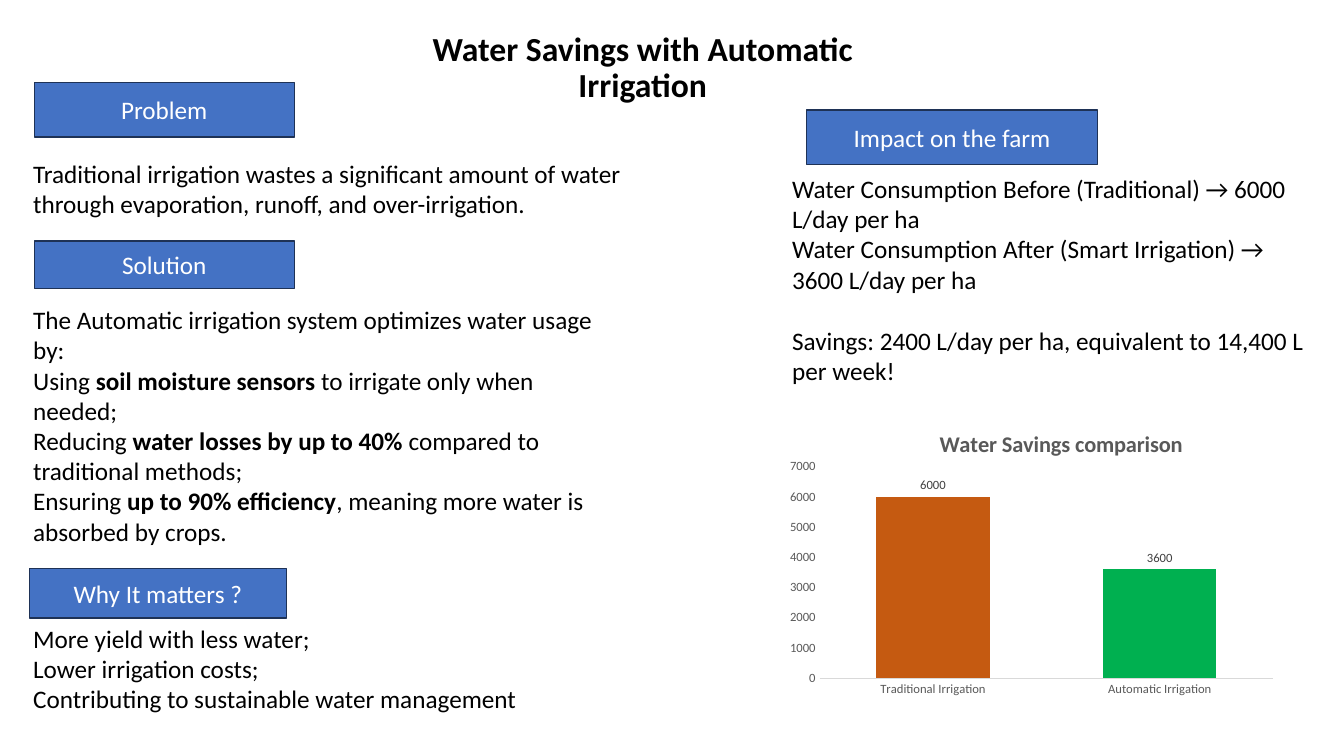
from dataclasses import dataclass

from lxml import etree
from pptx import Presentation
from pptx import util as u
from pptx.chart import data
from pptx.dml.color import RGBColor
from pptx.enum import chart as ch
from pptx.enum import shapes, text
from pptx.oxml.ns import qn


@dataclass(frozen=True)
class Theme:
    font: str = "Calibri"
    ink: str = "000000"
    heading_fill: str = "4472C4"
    heading_line: str = "1E3256"
    heading_ink: str = "FFFFFF"
    axis_ink: str = "595959"
    axis_line: str = "D9D9D9"
    label_ink: str = "404040"
    before: str = "C55A11"
    after: str = "00B050"
    title_size: int = 24
    body_size: int = 18
    chart_title_size: int = 16
    chart_size: int = 9
    body_line: int = 22


def assign(target, formats):
    for name, value in formats.items():
        setattr(target, name, value)


class Page:
    """Holds the theme and the slide; areas are percentages of the slide's size."""

    def __init__(self, deck, theme):
        self.theme = theme
        self.width, self.height = deck.slide_width, deck.slide_height
        self.slide = deck.slides.add_slide(deck.slide_layouts[6])

    def place(self, area):
        sides = (self.width, self.height) * 2
        return [round(share * side / 100) for share, side in zip(area, sides)]

    def style(self, font, size, ink, bold=False):
        assign(font, {"name": self.theme.font, "size": u.Pt(size), "bold": bold})
        font.color.rgb = RGBColor.from_string(ink)

    def add_words(self, paragraph, line, size, ink, bold=False):
        """Words between ** marks are bold."""
        for index, words in enumerate(line.split("**")):
            run = paragraph.add_run()
            run.text = words
            self.style(run.font, size, ink, bold or index % 2 == 1)

    def title(self, area, words):
        frame = self.slide.shapes.add_textbox(*self.place(area)).text_frame
        assign(frame, {"word_wrap": True, "vertical_anchor": text.MSO_ANCHOR.BOTTOM})
        paragraph = frame.paragraphs[0]
        assign(paragraph, {"alignment": text.PP_ALIGN.CENTER, "line_spacing": 0.9})
        self.add_words(paragraph, words, self.theme.title_size, self.theme.ink, bold=True)

    def body(self, area, lines, gap_before=None):
        frame = self.slide.shapes.add_textbox(*self.place(area)).text_frame
        assign(frame, {"word_wrap": True,
                       "auto_size": text.MSO_AUTO_SIZE.SHAPE_TO_FIT_TEXT})
        for index, line in enumerate(lines):
            paragraph = frame.add_paragraph() if index else frame.paragraphs[0]
            self.add_words(paragraph, line, self.theme.body_size, self.theme.ink)
            if index == gap_before:
                paragraph.space_before = u.Pt(self.theme.body_line)

    def heading(self, area, words):
        box = self.slide.shapes.add_shape(shapes.MSO_SHAPE.RECTANGLE, *self.place(area))
        box.shadow.inherit = False
        box.fill.solid()
        box.fill.fore_color.rgb = RGBColor.from_string(self.theme.heading_fill)
        box.line.color.rgb = RGBColor.from_string(self.theme.heading_line)
        box.line.width = u.Pt(1)
        assign(box.text_frame, {"word_wrap": True,
                                "vertical_anchor": text.MSO_ANCHOR.MIDDLE})
        paragraph = box.text_frame.paragraphs[0]
        paragraph.alignment = text.PP_ALIGN.CENTER
        self.add_words(paragraph, words, self.theme.body_size, self.theme.heading_ink)

    def columns(self, area, title, bars):
        """bars: (category, value, colour) for each column."""
        theme = self.theme
        figures = data.CategoryChartData()
        figures.categories = [name for name, _, _ in bars]
        figures.add_series("Series 1", [value for _, value, _ in bars])
        chart = self.slide.shapes.add_chart(
            ch.XL_CHART_TYPE.COLUMN_CLUSTERED, *self.place(area), figures).chart
        self.style(chart.font, 10, theme.ink)
        assign(chart, {"has_legend": False, "has_title": True})
        self.add_words(chart.chart_title.text_frame.paragraphs[0], title,
                       theme.chart_title_size, theme.axis_ink, bold=True)

        # Axes
        for axis in (chart.category_axis, chart.value_axis):
            assign(axis, {"has_major_gridlines": False,
                          "major_tick_mark": ch.XL_TICK_MARK.NONE,
                          "minor_tick_mark": ch.XL_TICK_MARK.NONE})
            self.style(axis.tick_labels.font, theme.chart_size, theme.axis_ink)
        line = chart.category_axis.format.line
        line.color.rgb = RGBColor.from_string(theme.axis_line)
        line.width = u.Pt(1)
        assign(chart.value_axis, {"minimum_scale": 0, "maximum_scale": 7000,
                                  "major_unit": 1000})
        chart.value_axis.format.line.fill.background()

        # Columns and their values
        plot = chart.plots[0]
        assign(plot, {"gap_width": 100, "overlap": -24, "vary_by_categories": False})
        series = plot.series[0]
        for index, (_, _, colour) in enumerate(bars):
            fill = series.points[index].format.fill
            fill.solid()
            fill.fore_color.rgb = RGBColor.from_string(colour)
        labels = series.data_labels
        assign(labels, {"show_value": True,
                        "position": ch.XL_LABEL_POSITION.OUTSIDE_END})
        self.style(labels.font, theme.chart_size, theme.label_ink)

        # Fixed places of the title and the plot
        self.fix(chart.chart_title.element, 1, {"x": 0.31, "y": 0.08})
        self.fix(chart.element.find(".//" + qn("c:plotArea")), 0,
                 {"x": 0.08, "y": 0.22, "w": 0.9, "h": 0.7}, inner=True)

    @staticmethod
    def fix(part, index, shares, inner=False):
        for old in part.findall(qn("c:layout")):
            part.remove(old)
        layout = etree.Element(qn("c:layout"))
        manual = etree.SubElement(layout, qn("c:manualLayout"))
        settings = {"layoutTarget": "inner"} if inner else {}
        settings.update({"xMode": "edge", "yMode": "edge"}, **shares)
        for name, value in settings.items():
            etree.SubElement(manual, qn(f"c:{name}")).set("val", str(value))
        part.insert(index, layout)


def main():
    deck = Presentation()
    assign(deck, {"slide_width": u.Inches(13.33), "slide_height": u.Inches(7.5)})
    theme = Theme()
    page = Page(deck, theme)
    left = 1.73

    page.title((27.98, 2.8, 39.68, 11.73), "Water Savings with Automatic Irrigation")

    # Body texts
    page.body((left, 20.27, 46.5, 9.47), [
        "Traditional irrigation wastes a significant amount of water through "
        "evaporation, runoff, and over-irrigation."])
    page.body((left, 39.6, 44.55, 33.6), [
        "The Automatic irrigation system optimizes water usage by:",
        "Using **soil moisture sensors** to irrigate only when needed;",
        "Reducing **water losses by up to 40%** compared to traditional methods;",
        "Ensuring **up to 90% efficiency**, meaning more water is absorbed by crops."])
    page.body((58.2, 22.27, 39.6, 29.6), [
        "Water Consumption Before (Traditional) → 6000 L/day per ha",
        "Water Consumption After (Smart Irrigation) → 3600 L/day per ha",
        "Savings: 2400 L/day per ha, equivalent to 14,400 L per week!"], gap_before=2)
    page.body((left, 81.73, 45.75, 13.47), [
        "More yield with less water;",
        "Lower irrigation costs;",
        "Contributing to sustainable water management"])

    # Comparison chart
    page.columns((57.98, 52.93, 37.5, 40), "Water Savings comparison", [
        ("Traditional Irrigation", 6000, theme.before),
        ("Automatic Irrigation", 3600, theme.after)])

    # Section headings
    for words, area in {
        "Problem": (2.55, 10.93, 19.35, 7.2),
        "Solution": (2.55, 31.87, 19.35, 6.27),
        "Why It matters ?": (2.18, 75.2, 19.13, 6.53),
        "Impact on the farm": (60, 14.53, 21.68, 7.2),
    }.items():
        page.heading(area, words)

    deck.save("out.pptx")


if __name__ == "__main__":
    main()
